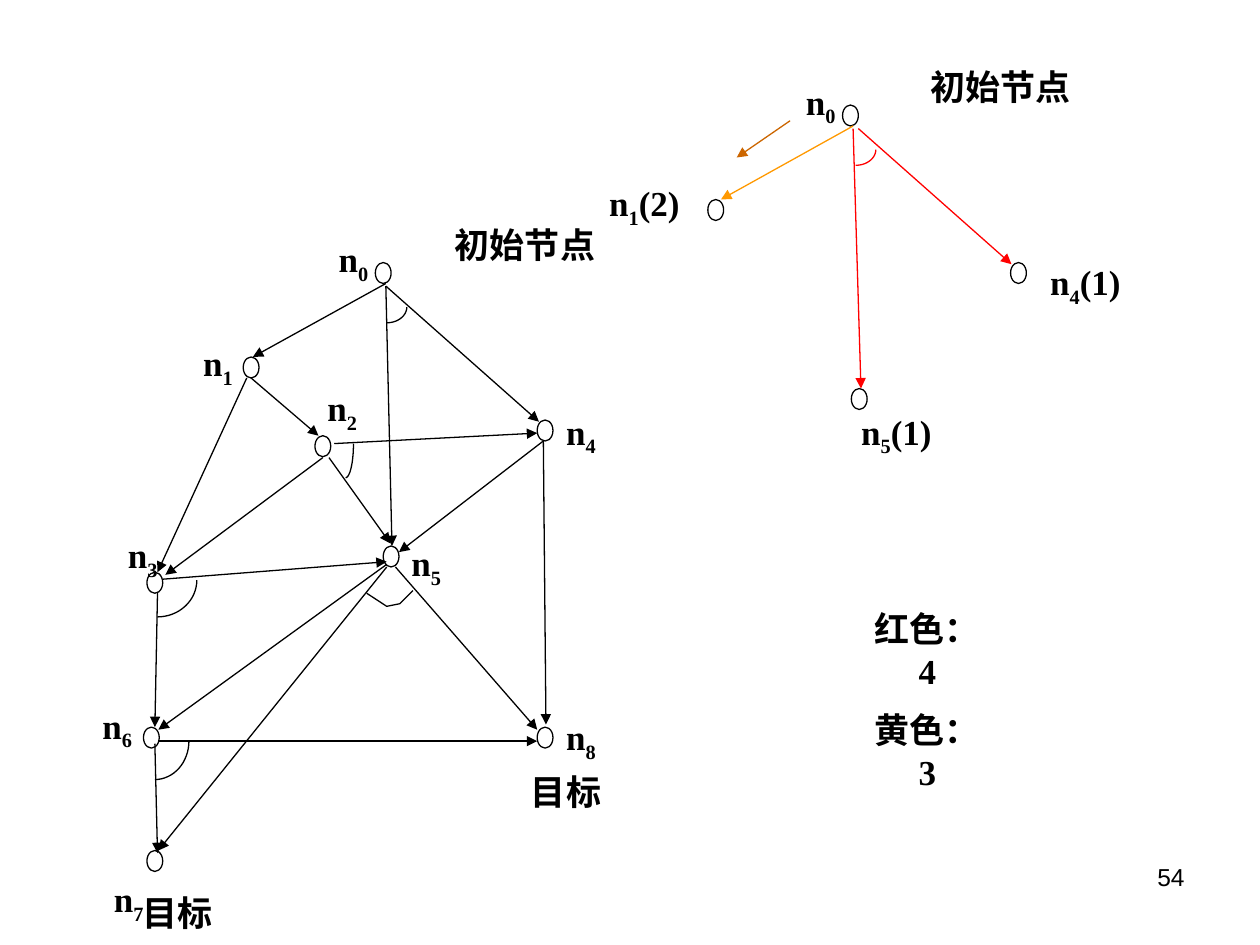
"""Build the AND/OR graph slide with its first expansion step."""
from math import cos, pi, sin

from lxml.etree import SubElement
from pptx import Presentation
from pptx.dml.color import RGBColor
from pptx.enum.shapes import MSO_CONNECTOR as CONN, MSO_SHAPE as SHAPE
from pptx.enum.text import MSO_ANCHOR as ANCHOR, MSO_AUTO_SIZE as AUTO, PP_ALIGN as ALIGN
from pptx.oxml.ns import qn
from pptx.util import Pt

BLACK, RED, ORANGE, BROWN = "000000", "FF0000", "FF9900", "CC6600"
NODE_W, NODE_H = 9, 12
LABEL_H = 31

FULL_GRAPH = {
    "nodes": [(214.5, 150), (139, 204), (180, 249), (219, 312), (307, 240),
              (84, 327), (82, 415.5), (307, 415.5), (84, 486)],
    "arrows": [
        (220.5, 162, 144.5, 204, BLACK),
        (220.5, 163.5, 224, 312, BLACK),
        (220.5, 163.5, 308, 241, BLACK),
        (141, 216, 90, 327, BLACK),
        (143.5, 216, 182, 249, BLACK),
        (188, 261.5, 223, 310.5, BLACK),
        (191, 253.5, 307, 247.5, BLACK),
        (93, 331, 221, 321, BLACK),
        (90, 339, 88.5, 415.5, BLACK),
        (310.5, 252, 228, 315.5, BLACK),
        (310.5, 252, 312, 414, BLACK),
        (221, 322.5, 90.5, 417, BLACK),
        (221, 324, 90.5, 486, BLACK),
        (226, 324, 307, 417, BLACK),
        (90.5, 423.5, 307, 423.5, BLACK),
        (88.5, 425, 90, 487.5, BLACK),
        (184.5, 261.5, 94.5, 328.5, BLACK),
    ],
    "arcs": [(221, 175.5, 11.5, 9, BLACK), (197.5, 253.5, 4.5, 19.5, BLACK),
             (90, 331.5, 22.5, 21, BLACK), (88.5, 423.5, 19.5, 22, BLACK)],
    "bends": [[(209.5, 339), (221, 346.5), (228.5, 345), (236, 337.5)]],
    "labels": [
        (74, 506, 55, ["目标"]),
        (296, 437, 55, ["目标"]),
        (252.5, 124, 95, ["初始节点"]),
        (186, 134, 32, ["n", "0"]),
        (108.5, 193.5, 32, ["n", "1"]),
        (179.5, 219, 32, ["n", "2"]),
        (65.5, 303, 32, ["n", "3"]),
        (316, 232.5, 32, ["n", "4"]),
        (227.5, 307.5, 32, ["n", "5"]),
        (51, 400.5, 32, ["n", "6"]),
        (57.5, 499.5, 32, ["n", "7"]),
        (316, 407, 32, ["n", "8"]),
    ],
}
FIRST_STEP = {
    "nodes": [(481.5, 60), (404.5, 114), (486.5, 222), (577.5, 150)],
    "arrows": [
        (487.5, 72, 412, 114, ORANGE),
        (487.5, 73.5, 492, 222, RED),
        (490.5, 73.5, 578, 151, RED),
        (451.5, 69, 421, 90, BROWN),
    ],
    "arcs": [(489, 85.5, 11.5, 9, RED)],
    "bends": [],
    "labels": [
        (524, 34, 95, ["初始节点"]),
        (453, 44, 32, ["n", "0"]),
        (340.5, 102, 55.5, ["n", "1", "(2)"]),
        (484.5, 232.5, 55.5, ["n", "5", "(1)"]),
    ],
}
N4_LABEL = (592.5, 147, 55.5, ["n", "4", "(1)"])
COSTS = ["红色：4", "黄色：3"]


def rgb(value):
    return RGBColor.from_string(value)


def style_line(sp, color):
    sp.line.color.rgb = rgb(color)
    sp.line.width = Pt(0.75)


def add_node(shapes, x, y):
    sp = shapes.add_shape(SHAPE.OVAL, Pt(x), Pt(y), Pt(NODE_W), Pt(NODE_H))
    sp.shadow.inherit = False
    sp.fill.background()
    style_line(sp, BLACK)


def add_arrow(shapes, x1, y1, x2, y2, color):
    line = shapes.add_connector(CONN.STRAIGHT, Pt(x1), Pt(y1), Pt(x2), Pt(y2))
    style_line(line, color)
    SubElement(line.line._get_or_add_ln(), qn("a:tailEnd"), type="triangle")
    SubElement(line._element.spPr, qn("a:effectLst"))


def add_polyline(shapes, points, color):
    start, *rest = [(Pt(x), Pt(y)) for x, y in points]
    builder = shapes.build_freeform(*start)
    builder.add_line_segments(rest, close=False)
    sp = builder.convert_to_shape()
    sp.shadow.inherit = False
    sp.fill.background()
    style_line(sp, color)


def add_arc(shapes, x, y, w, h, color, steps=16):
    angles = [pi / 2 * (1 - i / steps) for i in range(steps + 1)]
    add_polyline(shapes, [(x + w * cos(a), y + h * sin(a)) for a in angles], color)


def add_run(p, text, size=20, font="Times New Roman", bold=True):
    r = p.add_run()
    r.text = text
    r.font.size, r.font.name, r.font.bold = Pt(size), font, bold
    r.font.color.rgb = rgb(BLACK)
    return r


def add_label(shapes, x, y, w, parts):
    tf = shapes.add_textbox(Pt(x), Pt(y), Pt(w), Pt(LABEL_H)).text_frame
    tf.word_wrap = False
    tf.auto_size = AUTO.SHAPE_TO_FIT_TEXT
    tf.vertical_anchor = ANCHOR.MIDDLE
    p = tf.paragraphs[0]
    p.alignment = ALIGN.CENTER
    for i, part in enumerate(parts):
        r = add_run(p, part)
        if i == 1:
            r.font._element.set("baseline", "-25000")


def add_graph(slide, graph):
    shapes = slide.shapes.add_group_shape().shapes
    for node in graph["nodes"]:
        add_node(shapes, *node)
    for arrow in graph["arrows"]:
        add_arrow(shapes, *arrow)
    for arc in graph["arcs"]:
        add_arc(shapes, *arc)
    for bend in graph["bends"]:
        add_polyline(shapes, bend, BLACK)
    for label in graph["labels"]:
        add_label(shapes, *label)


def add_costs(slide):
    tf = slide.shapes.add_textbox(Pt(490), Pt(366.5), Pt(80), Pt(67)).text_frame
    tf.word_wrap = True
    tf.vertical_anchor = ANCHOR.MIDDLE
    for i, cost in enumerate(COSTS):
        p = tf.add_paragraph() if i else tf.paragraphs[0]
        p.alignment = ALIGN.CENTER
        p.space_before = Pt(10 if i else 0)
        add_run(p, cost)


def add_page_number(slide, number):
    tf = slide.shapes.add_textbox(Pt(516), Pt(492), Pt(168), Pt(36)).text_frame
    tf.word_wrap = True
    p = tf.paragraphs[0]
    p.alignment = ALIGN.RIGHT
    p.line_spacing = 0.8
    add_run(p, number, 14, "Arial", False)


def main():
    prs = Presentation()
    prs.slide_width, prs.slide_height = Pt(720), Pt(540)
    s = prs.slides.add_slide(prs.slide_layouts[6])
    add_page_number(s, "54")
    add_graph(s, FULL_GRAPH)
    add_label(s.shapes, *N4_LABEL)
    add_costs(s)
    add_graph(s, FIRST_STEP)
    prs.save("out.pptx")


if __name__ == "__main__":
    main()
